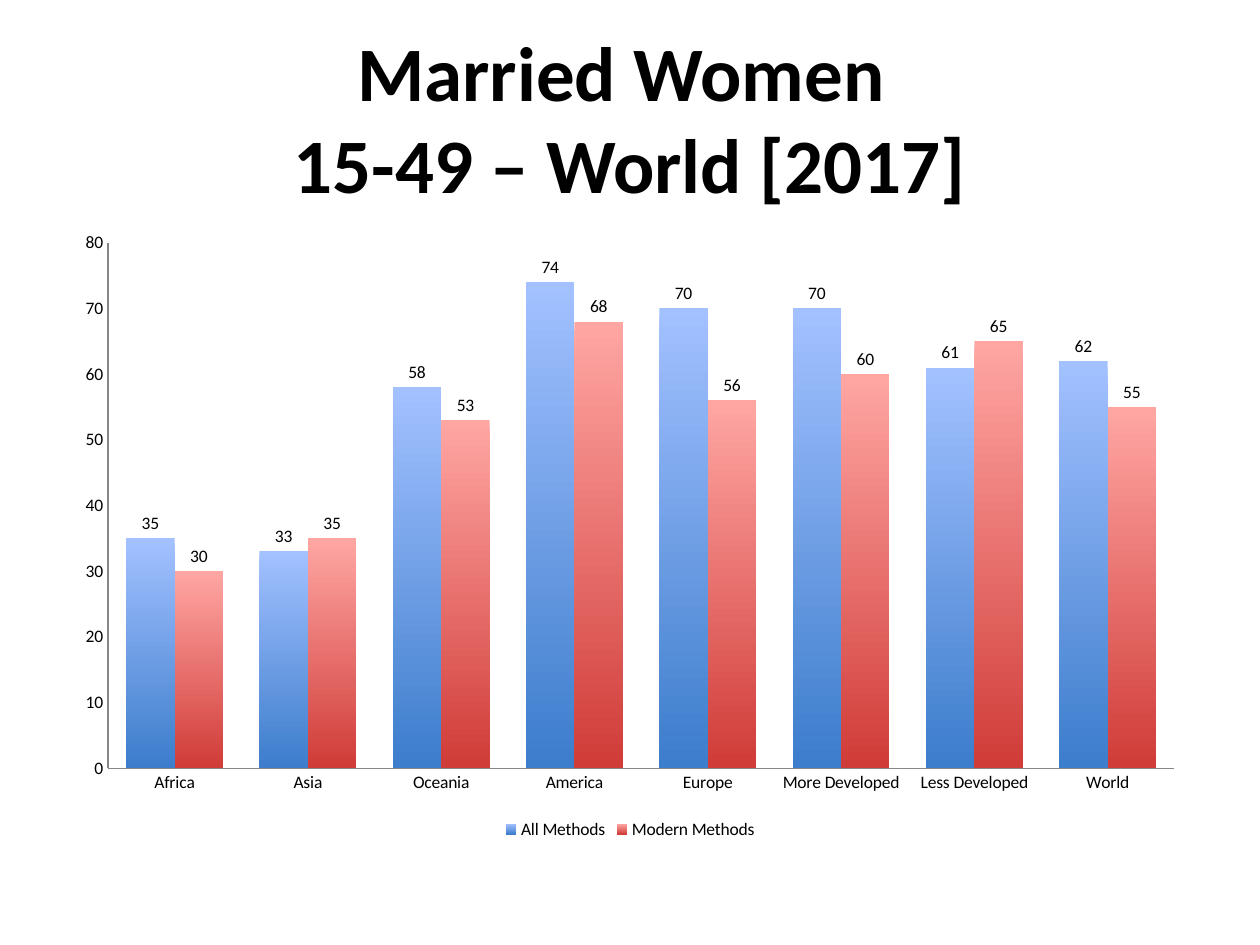
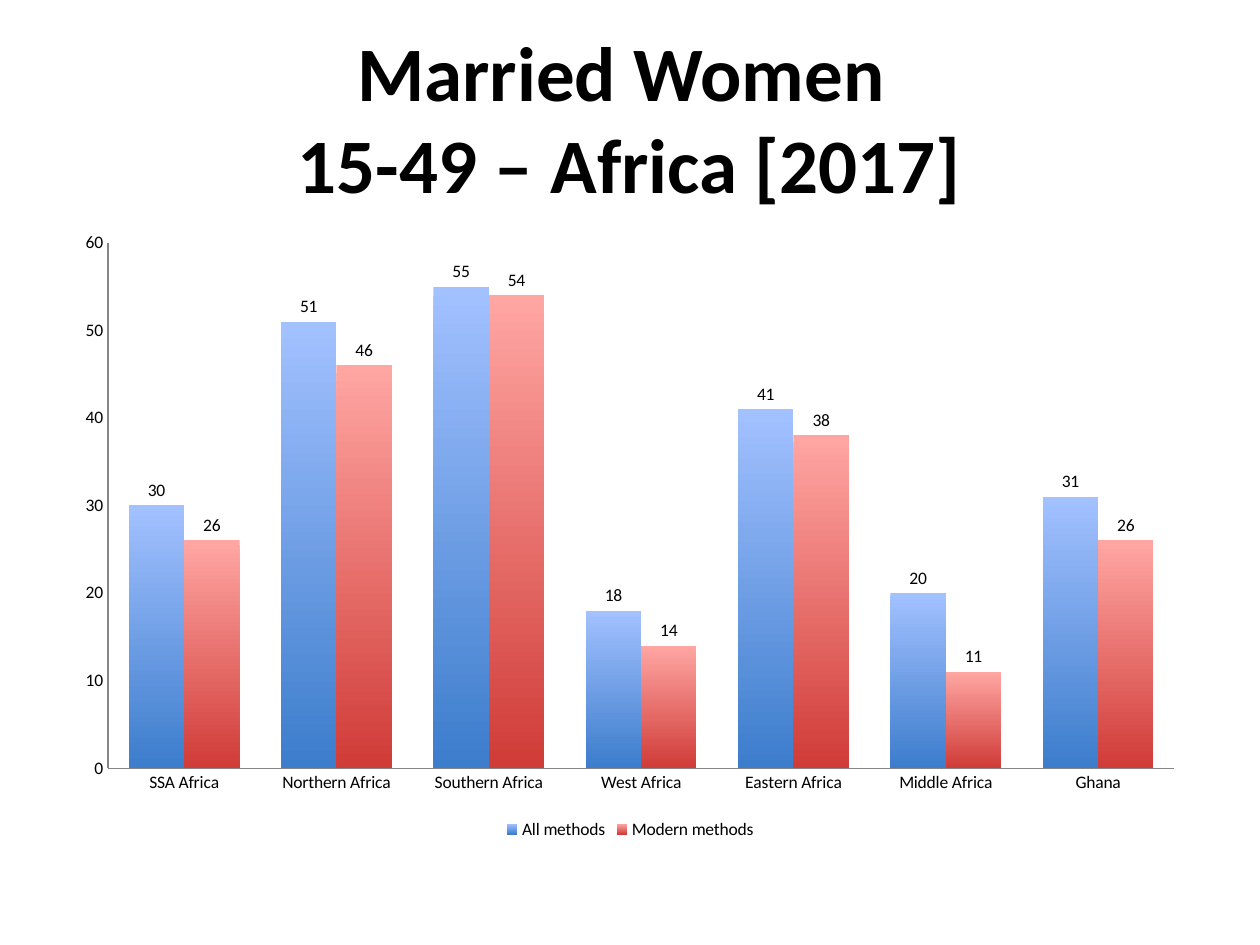
from dataclasses import dataclass

import pptx
import pptx.chart.data
import pptx.dml.color
import pptx.enum.chart
import pptx.enum.text
import pptx.util

SCALE = 9144  # EMU in one px, 100 px to the inch


@dataclass(frozen=True)
class Theme:
    font: str = "Calibri"
    ink: str = "000000"
    axis: str = "868686"
    bars: tuple[tuple[str, str], ...] = (("A3C1FF", "3C7DCC"), ("FFA6A3", "D03C38"))
    title: int = 44
    label: int = 10


@dataclass(frozen=True)
class Box:
    left: int
    top: int
    width: int
    height: int

    def emu(self) -> tuple[int, ...]:
        return tuple(px * SCALE for px in (self.left, self.top, self.width, self.height))


@dataclass(frozen=True)
class Series:
    name: str
    values: tuple[int, ...]


@dataclass(frozen=True)
class Page:
    lines: tuple[str, ...]
    groups: tuple[str, ...]
    series: tuple[Series, ...]
    top: int


THEME = Theme()
HEAD = Box(50, 30, 900, 125)
PLOT = Box(50, 175, 900, 495)

PAGES = (
    Page(
        ("Married Women ", "15-49 – World [2017]"),
        ("Africa", "Asia", "Oceania", "America", "Europe",
         "More Developed", "Less Developed", "World"),
        (Series("All Methods", (35, 33, 58, 74, 70, 70, 61, 62)),
         Series("Modern Methods", (30, 35, 53, 68, 56, 60, 65, 55))),
        80,
    ),
    Page(
        ("Married Women ", "15-49 – Africa [2017]"),
        ("SSA Africa", "Northern Africa", "Southern Africa", "West Africa",
         "Eastern Africa", "Middle Africa", "Ghana"),
        (Series("All methods", (30, 51, 55, 18, 41, 20, 31)),
         Series("Modern methods", (26, 46, 54, 14, 38, 11, 26))),
        60,
    ),
)


def tint(code: str) -> pptx.dml.color.RGBColor:
    return pptx.dml.color.RGBColor.from_string(code)


def style(font, size: int, bold: bool = False) -> None:
    font.name = THEME.font
    font.size = pptx.util.Pt(size)
    font.bold = bold
    font.color.rgb = tint(THEME.ink)


def draw_title(slide, lines: tuple[str, ...]) -> None:
    shape = slide.shapes.title
    shape.left, shape.top, shape.width, shape.height = HEAD.emu()
    frame = shape.text_frame
    frame.auto_size = pptx.enum.text.MSO_AUTO_SIZE.NONE
    frame.vertical_anchor = pptx.enum.text.MSO_ANCHOR.MIDDLE
    para = frame.paragraphs[0]
    para.alignment = pptx.enum.text.PP_ALIGN.CENTER
    for index, line in enumerate(lines):
        if index:
            para.add_line_break()
        run = para.add_run()
        run.text = line
        style(run.font, THEME.title, bold=True)


def draw_axis(axis) -> None:
    axis.has_major_gridlines = False
    axis.major_tick_mark = pptx.enum.chart.XL_TICK_MARK.NONE
    axis.minor_tick_mark = pptx.enum.chart.XL_TICK_MARK.NONE
    axis.format.line.color.rgb = tint(THEME.axis)
    axis.format.line.width = pptx.util.Pt(0.75)


def shade(fill, shades: tuple[str, str]) -> None:
    fill.gradient()
    fill.gradient_angle = 270
    for stop, code in zip(fill.gradient_stops, shades):
        stop.color.rgb = tint(code)


def draw_chart(slide, page: Page) -> None:
    data = pptx.chart.data.CategoryChartData(number_format="General")
    data.categories = page.groups
    for item in page.series:
        data.add_series(item.name, item.values)
    kind = pptx.enum.chart.XL_CHART_TYPE.COLUMN_CLUSTERED
    chart = slide.shapes.add_chart(kind, *PLOT.emu(), data).chart
    chart.has_title = False
    style(chart.font, THEME.label)

    # Axes
    draw_axis(chart.category_axis)
    draw_axis(chart.value_axis)
    chart.value_axis.minimum_scale = 0
    chart.value_axis.maximum_scale = page.top
    chart.value_axis.major_unit = 10

    # Legend
    chart.has_legend = True
    chart.legend.position = pptx.enum.chart.XL_LEGEND_POSITION.BOTTOM
    chart.legend.include_in_layout = False

    # Columns and their values
    plot = chart.plots[0]
    plot.gap_width = 75
    plot.overlap = 0
    plot.vary_by_categories = False
    for bars, shades in zip(plot.series, THEME.bars):
        shade(bars.format.fill, shades)
        labels = bars.data_labels
        labels.show_value = True
        labels.position = pptx.enum.chart.XL_LABEL_POSITION.OUTSIDE_END
        style(labels.font, THEME.label)


def main() -> None:
    deck = pptx.Presentation()
    deck.slide_width = 1000 * SCALE
    deck.slide_height = 750 * SCALE
    for page in PAGES:
        slide = deck.slides.add_slide(deck.slide_layouts.get_by_name("Title Only"))
        draw_title(slide, page.lines)
        draw_chart(slide, page)
    deck.save("out.pptx")


if __name__ == "__main__":
    main()
